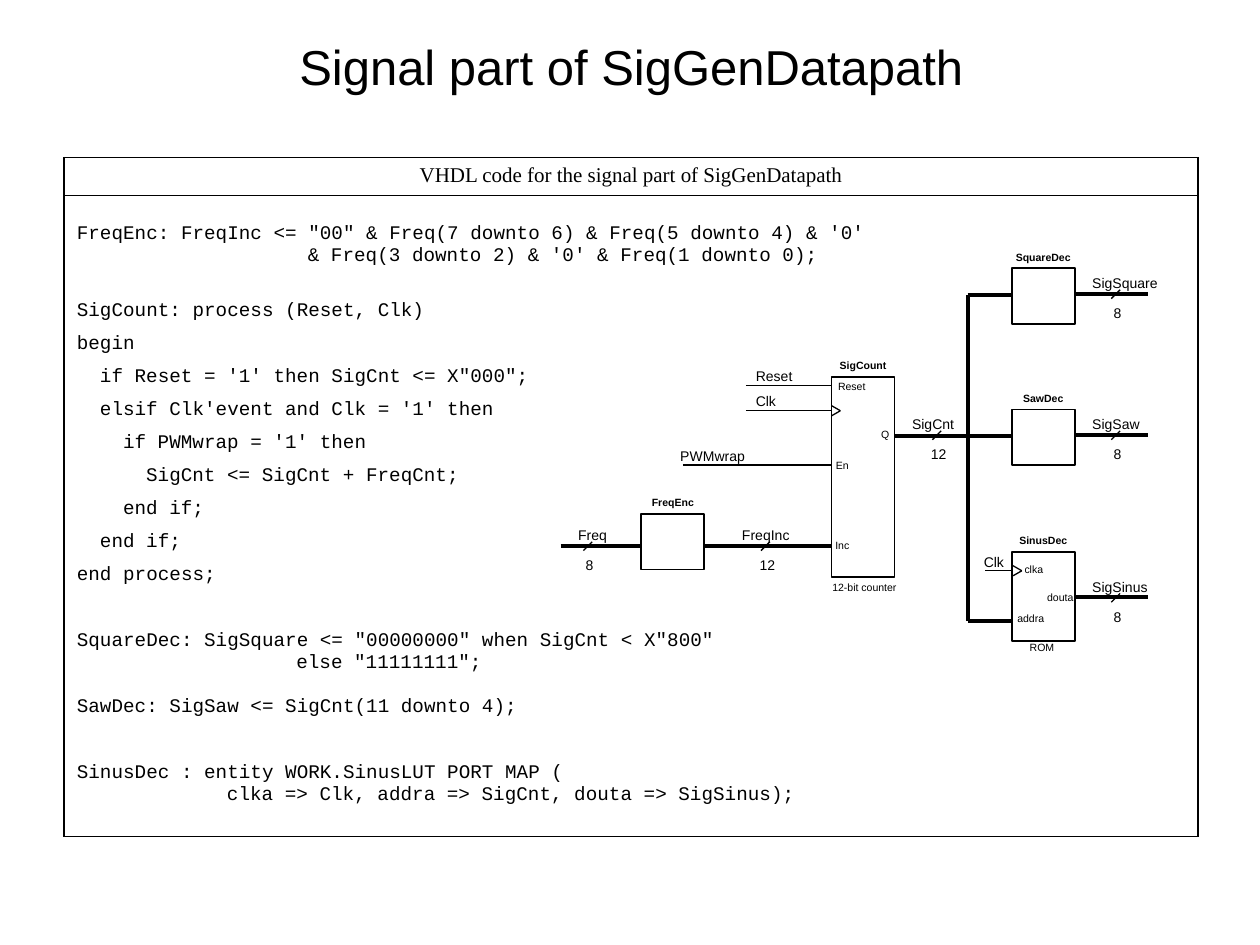
import pptx
import pptx.util
import pptx.dml.color
import pptx.enum.shapes
import pptx.enum.text
import pptx.oxml
import lxml.etree

Inches, Pt = pptx.util.Inches, pptx.util.Pt
ALIGN = pptx.enum.text.PP_ALIGN
BLACK = pptx.dml.color.RGBColor(0, 0, 0)
WHITE = pptx.dml.color.RGBColor(255, 255, 255)
DRAWING = "http://schemas.openxmlformats.org/drawingml/2006/main"
BUS, SIGNAL = 2.25, 0.75

presentation = pptx.Presentation()
presentation.slide_width, presentation.slide_height = Inches(10), Inches(7.5)
slide = presentation.slides.add_slide(presentation.slide_layouts[5])


def wire(x1, y1, x2, y2, weight):
    line = slide.shapes.add_connector(
        pptx.enum.shapes.MSO_CONNECTOR.STRAIGHT, Inches(x1), Inches(y1), Inches(x2), Inches(y2))
    line.line.color.rgb = BLACK
    line.line.width = Pt(weight)
    lxml.etree.SubElement(line._element.spPr, "{%s}effectLst" % DRAWING)


def label(text, left, top, width, size, align=ALIGN.CENTER, bold=False):
    box = slide.shapes.add_textbox(
        Inches(left), Inches(top), Inches(width), Inches(0.24 if size == 8 else 0.2))
    box.text_frame.word_wrap = False
    box.text_frame.auto_size = pptx.enum.text.MSO_AUTO_SIZE.SHAPE_TO_FIT_TEXT
    paragraph = box.text_frame.paragraphs[0]
    paragraph.text = text
    paragraph.alignment = align
    paragraph.font.name, paragraph.font.size = "Arial", Pt(size)
    paragraph.font.bold = bold
    paragraph.font.color.rgb = BLACK


title = slide.shapes.title
title.left, title.top, title.width, title.height = Inches(0.51), Inches(0.21), Inches(9), Inches(0.63)
title.text_frame.text = "Signal part of SigGenDatapath"
title.text_frame.vertical_anchor = pptx.enum.text.MSO_ANCHOR.MIDDLE
heading = title.text_frame.paragraphs[0]
heading.alignment = ALIGN.CENTER
heading.font.name, heading.font.size = "Arial", Pt(28)
heading.font.color.rgb = BLACK

listing = slide.shapes.add_table(2, 1, Inches(0.51), Inches(1.25), Inches(9), Inches(5.39)).table
listing.first_row = listing.horz_banding = False
listing.rows[0].height, listing.rows[1].height = Inches(0.3), Inches(5.09)
caption_cell, code_cell = listing.cell(0, 0), listing.cell(1, 0)
for cell in (caption_cell, code_cell):
    for side in ("lnL", "lnR", "lnT", "lnB"):
        cell._tc.get_or_add_tcPr().append(pptx.oxml.parse_xml(
            f'<a:{side} xmlns:a="{DRAWING}" w="12700"><a:solidFill>'
            f'<a:srgbClr val="000000"/></a:solidFill></a:{side}>'))
    cell.fill.background()
code_cell.margin_top = Inches(0.22)

caption = caption_cell.text_frame.paragraphs[0]
caption.text = "VHDL code for the signal part of SigGenDatapath"
caption.alignment = ALIGN.CENTER
caption.font.name, caption.font.size = "Times New Roman", Pt(12)
caption.font.color.rgb = BLACK

CHARACTER = 6.6
code_lines = [
    ("FreqEnc: FreqInc <= \"00\" & Freq(7 downto 6) & Freq(5 downto 4) & '0'", 0, 1, 0),
    ("& Freq(3 downto 2) & '0' & Freq(1 downto 0);", 20, 1, 0),
    ("SigCount: process (Reset, Clk)", 0, 1.5, 12.5),
    ("begin", 0, 1.5, 0),
    ("if Reset = '1' then SigCnt <= X\"000\";", 2, 1.5, 0),
    ("elsif Clk'event and Clk = '1' then", 2, 1.5, 0),
    ("if PWMwrap = '1' then", 4, 1.5, 0),
    ("SigCnt <= SigCnt + FreqCnt;", 6, 1.5, 0),
    ("end if;", 4, 1.5, 0),
    ("end if;", 2, 1.5, 0),
    ("end process;", 0, 1.5, 0),
    ("SquareDec: SigSquare <= \"00000000\" when SigCnt < X\"800\"", 0, 1, 25),
    ("else \"11111111\";", 19, 1, 0),
    ("SawDec: SigSaw <= SigCnt(11 downto 4);", 0, 1, 12.5),
    ("SinusDec : entity WORK.SinusLUT PORT MAP (", 0, 1, 25),
    ("clka => Clk, addra => SigCnt, douta => SigSinus);", 13, 1, 0),
]
for number, (text, indent, spacing, gap) in enumerate(code_lines):
    frame = code_cell.text_frame
    code = frame.add_paragraph() if number else frame.paragraphs[0]
    code.text = text
    code.line_spacing = spacing
    code.space_before = Pt(gap)
    code.font.name, code.font.size = "Courier New", Pt(11)
    code.font.color.rgb = BLACK
    code._p.get_or_add_pPr().set("marL", str(Pt(indent * CHARACTER)))

buses = [
    (4.45, 4.33, 6.6, 4.33),
    (7.1, 3.46, 8.03, 3.46),
    (7.68, 2.34, 7.68, 4.93),
    (7.68, 2.34, 8.03, 2.34),
    (7.68, 4.93, 8.03, 4.93),
]
for ends in buses:
    wire(*ends, BUS)

inputs = [
    ("Reset", 5.92, 3.06, 6.6, 5.9, 0.5),
    ("Clk", 5.92, 3.26, 6.6, 5.9, 0.36),
    ("PWMwrap", 5.42, 3.69, 6.6, 5.3, 0.72),
    ("Clk", 7.82, 4.53, 8.03, 7.71, 0.36),
]
for name, start, y, end, left, width in inputs:
    wire(start, y, end, y, SIGNAL)
    label(name, left, y - 0.19, width, 8, ALIGN.LEFT)

bus_names = [
    ("Freq", "8", 4.67, 4.33, 4.49, 0.43),
    ("FreqInc", "12", 6.08, 4.33, 5.79, 0.58),
    ("SigCnt", "12", 7.44, 3.45, 7.14, 0.54),
    ("SigSquare", "8", 8.86, 2.33, 8.57, 0.73),
    ("SigSaw", "8", 8.86, 3.45, 8.57, 0.58),
    ("SigSinus", "8", 8.86, 4.74, 8.57, 0.65),
]
for name, bits, x, y, left, width in bus_names:
    if name in ("SigSquare", "SigSaw", "SigSinus"):
        wire(8.53, y, 9.11, y, BUS)
    wire(x - 0.04, y + 0.04, x + 0.03, y - 0.03, SIGNAL)
    label(name, left, y - 0.2, width, 8, ALIGN.LEFT)
    bits_width = 0.27 if len(bits) == 1 else 0.33
    label(bits, x + 0.01 - bits_width / 2, y + 0.04, bits_width, 8)

blocks = [
    ("FreqEnc", 5.09, 4.08, 0.44, 0.54),
    ("SigCount", 6.6, 2.99, 1.59, 0.57),
    ("SquareDec", 8.03, 2.13, 0.44, 0.64),
    ("SawDec", 8.03, 3.25, 0.44, 0.53),
    ("SinusDec", 8.03, 4.38, 0.71, 0.59),
]
for name, left, top, height, name_width in blocks:
    block = slide.shapes.add_shape(
        pptx.enum.shapes.MSO_SHAPE.RECTANGLE, Inches(left), Inches(top), Inches(0.5), Inches(height))
    block.shadow.inherit = False
    block.fill.solid()
    block.fill.fore_color.rgb = WHITE
    block.line.color.rgb = BLACK
    block.line.width = Pt(1)
    label(name, left + 0.25 - name_width / 2, top - 0.19, name_width, 6, bold=True)

for x, y in [(6.6, 3.26), (8.04, 4.53)]:
    for offset in (-0.04, 0.04):
        wire(x, y + offset, x + 0.07, y, SIGNAL)

pins = [
    ("Reset", 6.55, 2.97, 0.42),
    ("Q", 6.89, 3.35, 0.27),
    ("En", 6.53, 3.59, 0.31),
    ("Inc", 6.53, 4.23, 0.31),
    ("12-bit counter", 6.5, 4.56, 0.72),
    ("clka", 8.03, 4.42, 0.35),
    ("douta", 8.21, 4.64, 0.41),
    ("addra", 7.97, 4.81, 0.42),
    ("ROM", 8.07, 5.04, 0.4),
]
for name, left, top, width in pins:
    label(name, left, top, width, 6)

presentation.save("out.pptx")
